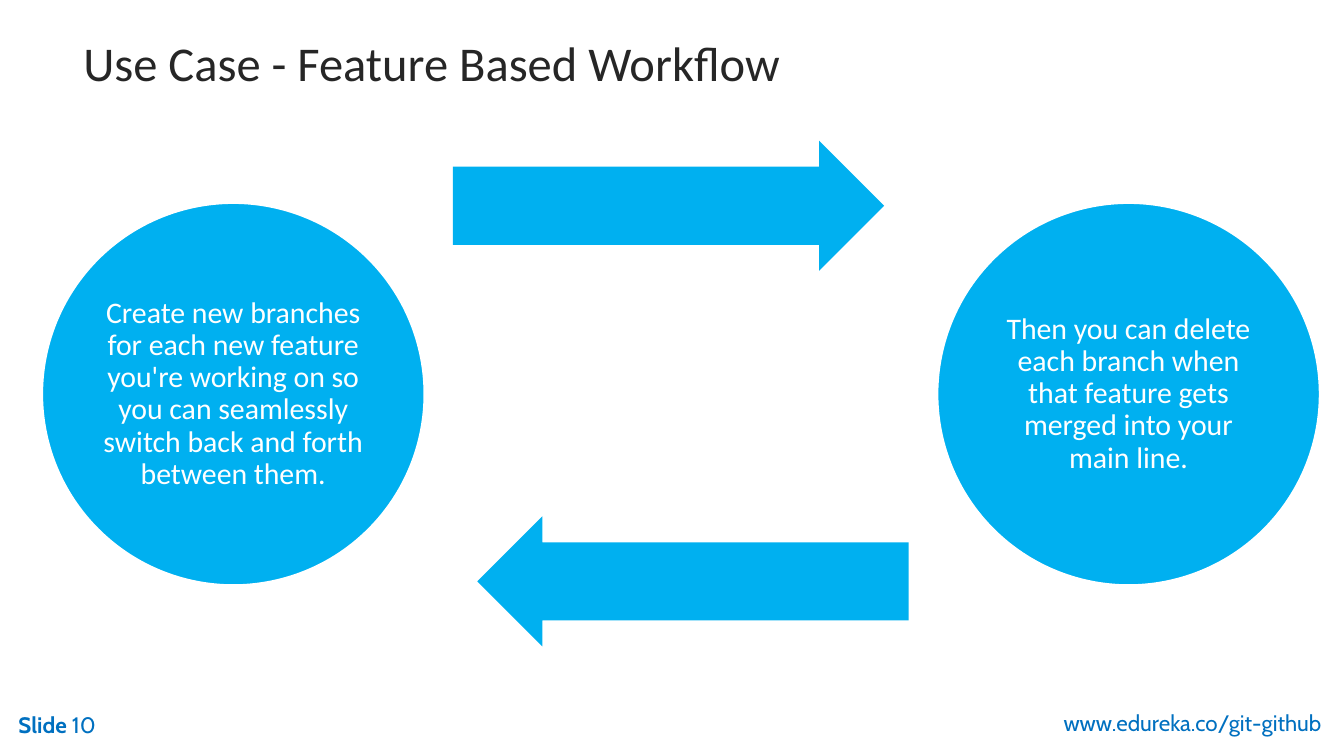
from pptx import Presentation
from pptx.dml.color import RGBColor
from pptx.enum.shapes import MSO_SHAPE as Shape
from pptx.enum.text import MSO_ANCHOR as Anchor, MSO_AUTO_SIZE as Auto, PP_ALIGN as Align
from pptx.util import Cm, Pt


def tint(code):
    return RGBColor.from_string(code)


def write(frame, text, size=12, font="Cabin", color="0070C0", bold=False,
          align=Align.LEFT, space=1.0):
    para = frame.paragraphs[0]
    para.alignment = align
    para.line_spacing = space
    run = para.add_run()
    run.text = text
    run.font.size = Pt(size)
    run.font.name = font
    run.font.bold = bold
    run.font.color.rgb = tint(color)


deck = Presentation()
deck.slide_width, deck.slide_height = Cm(25.4), Cm(14.29)
slide = deck.slides.add_slide(deck.slide_layouts[5])
shapes = slide.shapes

title = shapes.title
title.left, title.top, title.width, title.height = Cm(1.32), Cm(0.46), Cm(21.9), Cm(1.42)
title.text_frame.vertical_anchor = Anchor.MIDDLE
title.text_frame.auto_size = Auto.NONE
write(title.text_frame, "Use Case - Feature Based Workflow", size=26,
      font="Calibri", color="262626")

steps = [
    (0.78, "Create new branches for each new feature you're working on "
           "so you can seamlessly switch back and forth between them."),
    (17.7, "Then you can delete each branch when that feature gets "
           "merged into your main line."),
]
for left, text in steps:
    disc = shapes.add_shape(Shape.OVAL, Cm(left), Cm(3.82), Cm(7.26), Cm(7.26))
    disc.shadow.inherit = False
    disc.fill.solid()
    disc.fill.fore_color.rgb = tint("00B0F0")
    disc.line.color.rgb = tint("FFFFFF")
    disc.line.width = Pt(2)
    frame = disc.text_frame
    frame.word_wrap = True
    frame.vertical_anchor = Anchor.MIDDLE
    frame.margin_left = frame.margin_right = Cm(0.05)
    frame.margin_top = frame.margin_bottom = Cm(0.05)
    write(frame, text, size=16, font="Calibri", color="FFFFFF",
          align=Align.CENTER, space=0.9)

for left, top, turn in [(8.56, 2.66, 0), (9.02, 9.76, 180)]:
    arrow = shapes.add_shape(Shape.RIGHT_ARROW, Cm(left), Cm(top), Cm(8.15), Cm(2.46))
    arrow.rotation = turn
    arrow.adjustments[0] = 0.6
    arrow.adjustments[1] = 0.5
    arrow.shadow.inherit = False
    arrow.fill.solid()
    arrow.fill.fore_color.rgb = tint("00B0F0")
    arrow.line.fill.background()

notes = [
    (0.1, 13.31, 4.01, Align.LEFT, [("Slide ", True), ("10", False)]),
    (14.38, 13.28, 10.85, Align.RIGHT, [("www.edureka.co/git-github", False)]),
]
for left, top, width, align, parts in notes:
    box = shapes.add_textbox(Cm(left), Cm(top), Cm(width), Cm(0.76))
    frame = box.text_frame
    frame.word_wrap = True
    frame.auto_size = Auto.SHAPE_TO_FIT_TEXT
    for text, bold in parts:
        write(frame, text, bold=bold, align=align)

deck.save("out.pptx")
